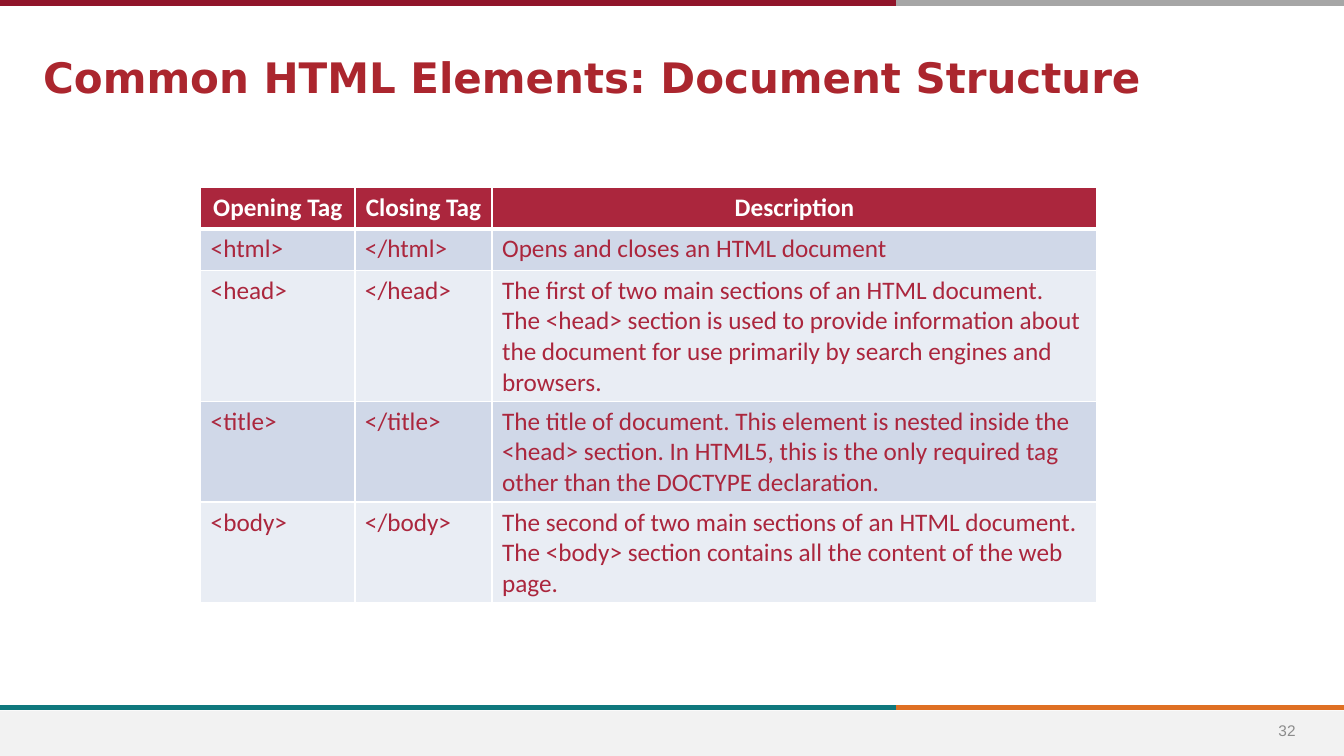
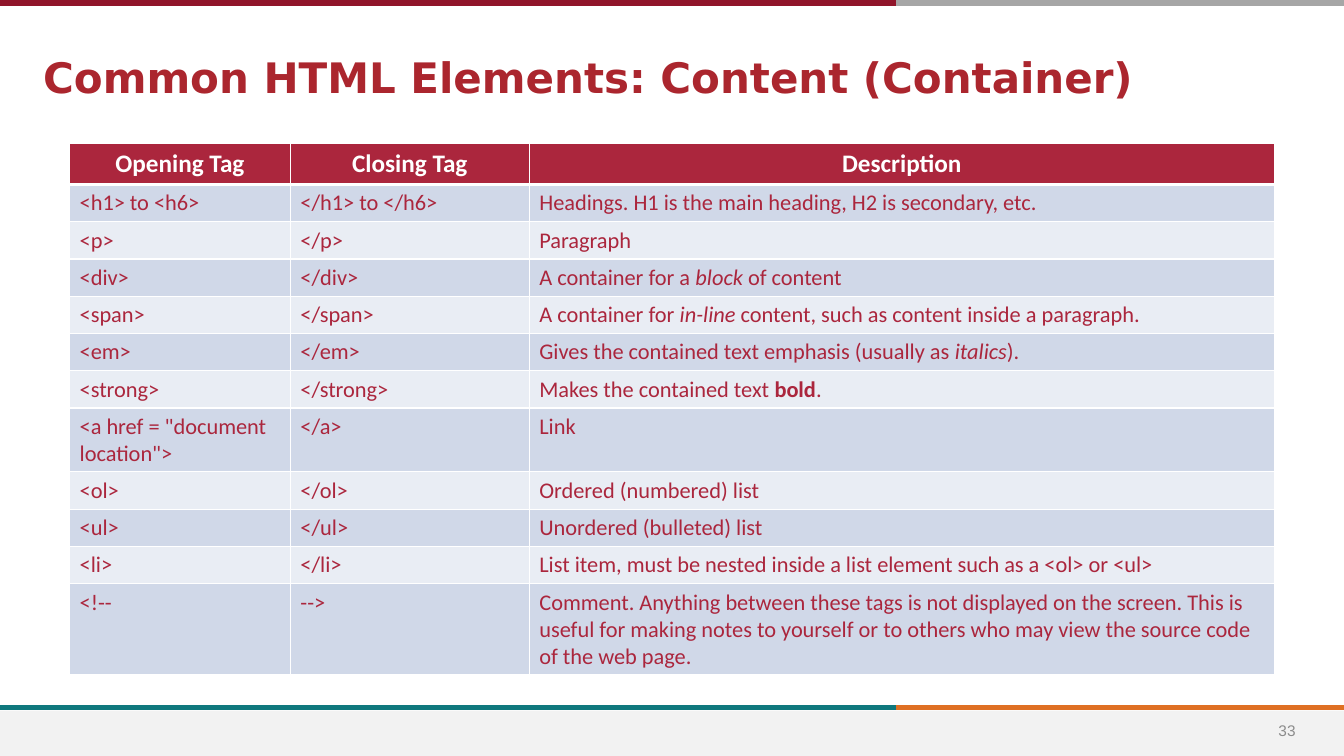
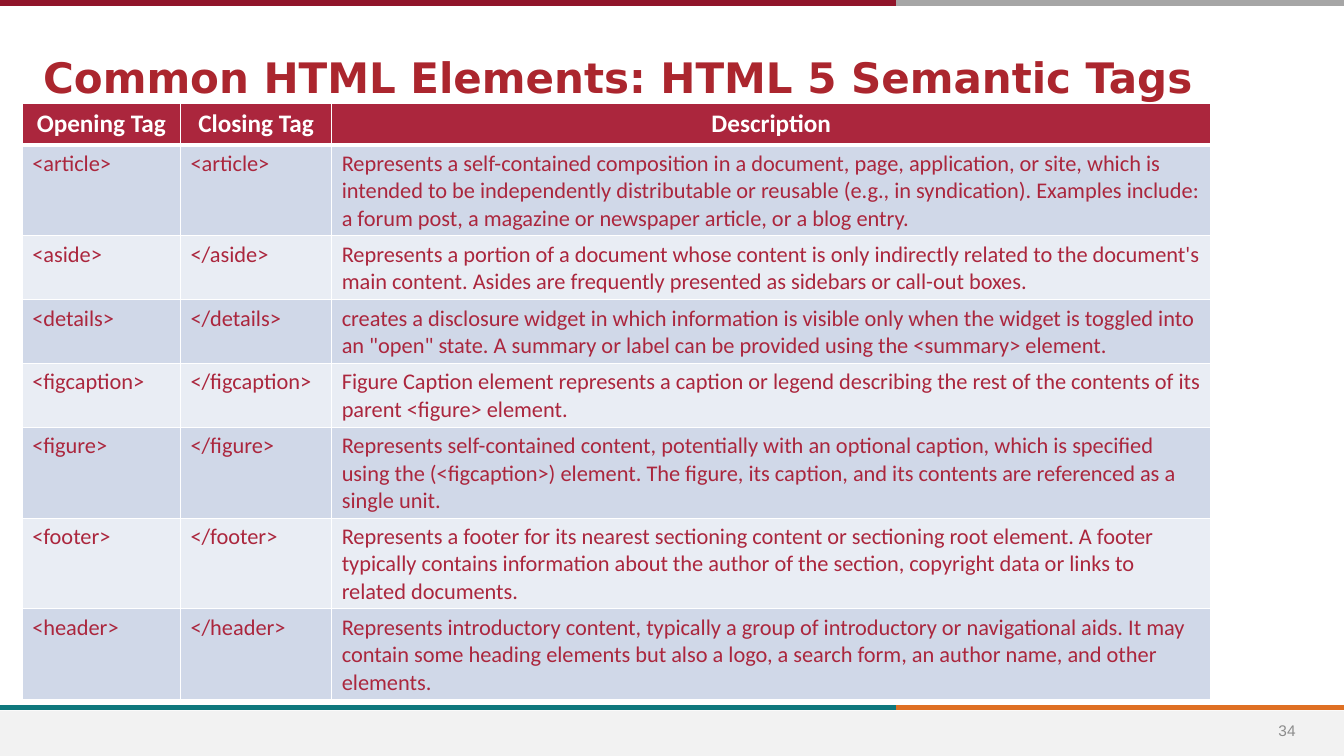
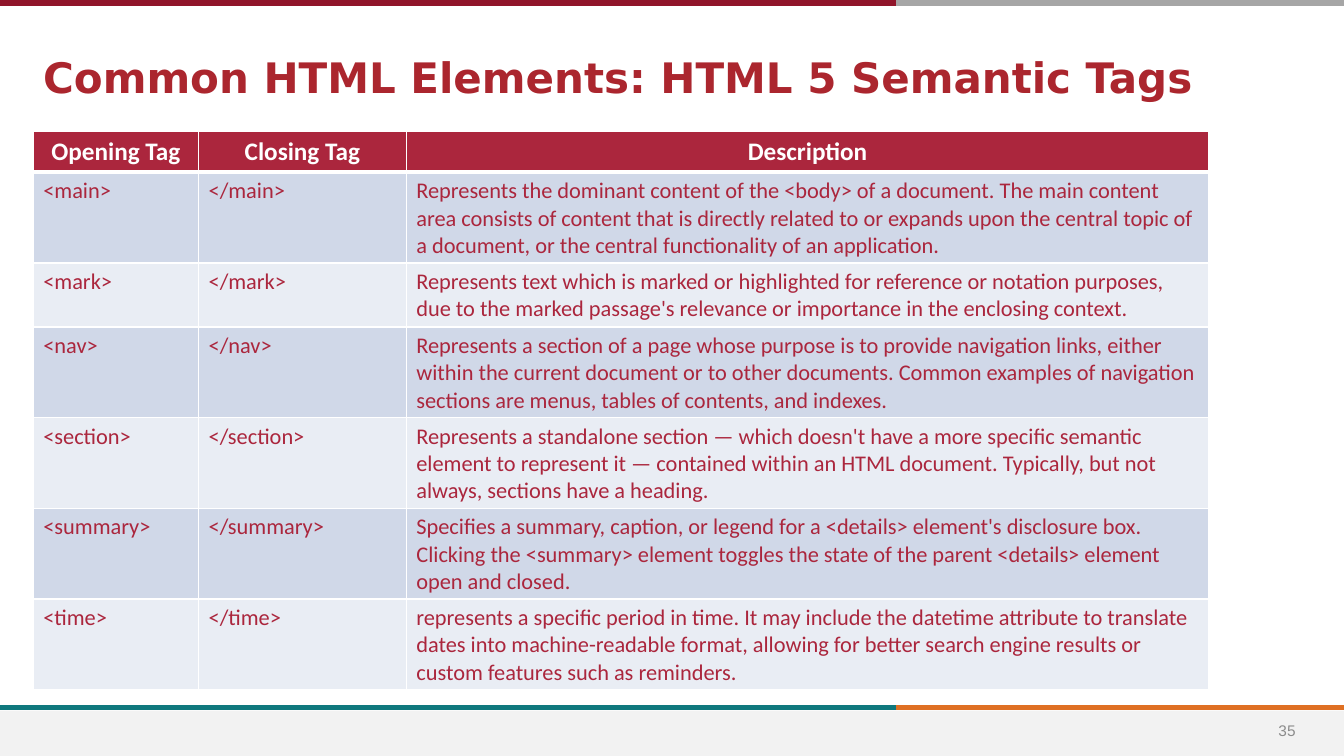
from dataclasses import dataclass

from lxml import etree
from pptx import Presentation
from pptx import util as u
from pptx.dml import color as dml
from pptx.enum import shapes, text
from pptx.oxml import ns


@dataclass(frozen=True)
class Theme:
    # Colours
    title: str = "AB262E"
    head: str = "AB263D"
    odd: str = "D0D8E8"
    even: str = "E9EDF4"
    white: str = "FFFFFF"
    foot: str = "F2F2F2"
    page: str = "8C8C8C"
    crimson: str = "90152A"
    grey: str = "A6A6A6"
    teal: str = "0F787D"
    orange: str = "DF7023"
    # Type
    display: str = "DejaVu Sans"
    body: str = "Calibri"
    small: str = "Arial"
    big: int = 30
    large: int = 18
    mid: int = 16
    tiny: int = 11
    # Line widths in points
    band: int = 4
    rule: int = 3
    hair: int = 1


WIDE, HIGH, SPLIT = 13.33, 7.5, 8.89
HEAD = ("Opening Tag", "Closing Tag", "Description")
ROW = 0.41


def rgb(code):
    return dml.RGBColor.from_string(code)


class Deck:
    def __init__(self, theme):
        self.theme = theme
        self.prs = Presentation()
        self.prs.slide_width = u.Inches(WIDE)
        self.prs.slide_height = u.Inches(HIGH)
        self.slide = None

    def start(self, title, page):
        """Add a slide with its bands, page number and title."""
        t = self.theme
        self.slide = self.prs.slides.add_slide(self.prs.slide_layouts[6])
        self.block(0, 7.05, WIDE, 0.45, t.foot)
        for y, left, right in ((7.02, t.teal, t.orange), (0.03, t.crimson, t.grey)):
            self.line(SPLIT, WIDE, y, right)
            self.line(0, SPLIT, y, left)
        self.label(12.42, 7.05, 0.69, 0.4, str(page), text.MSO_ANCHOR.MIDDLE,
                   text.PP_ALIGN.CENTER, name=t.small, size=t.tiny, color=t.page)
        self.label(0.33, 0.46, 11.66, 0.59, title, text.MSO_ANCHOR.TOP,
                   text.PP_ALIGN.LEFT, name=t.display, size=t.big, color=t.title, bold=True)

    def block(self, x, y, w, h, fill):
        box = self.slide.shapes.add_shape(
            shapes.MSO_SHAPE.RECTANGLE, *map(u.Inches, (x, y, w, h)))
        box.shadow.inherit = False
        box.fill.solid()
        box.fill.fore_color.rgb = rgb(fill)
        box.line.fill.background()

    def line(self, x1, x2, y, color):
        bar = self.slide.shapes.add_connector(
            shapes.MSO_CONNECTOR.STRAIGHT, *map(u.Inches, (x1, y, x2, y)))
        bar.line.color.rgb = rgb(color)
        bar.line.width = u.Pt(self.theme.band)
        etree.SubElement(bar._element.spPr, ns.qn("a:effectLst"))

    def label(self, x, y, w, h, words, anchor, align, **style):
        box = self.slide.shapes.add_textbox(*map(u.Inches, (x, y, w, h)))
        frame = box.text_frame
        frame.word_wrap = True
        frame.vertical_anchor = anchor
        self.put(frame, words, align, style)

    def put(self, frame, words, align, style):
        """Fill the first paragraph; words is a string or (string, style) runs."""
        para = frame.paragraphs[0]
        para.alignment = align
        runs = [(words, {})] if isinstance(words, str) else words
        for part, extra in runs:
            run = para.add_run()
            run.text = part
            for key, value in {**style, **extra}.items():
                if key == "color":
                    run.font.color.rgb = rgb(value)
                else:
                    setattr(run.font, key, u.Pt(value) if key == "size" else value)

    def border(self, cell, row):
        """Draw white cell edges, heavier below the header row."""
        t = self.theme
        props = cell._tc.get_or_add_tcPr()
        heavy = {(0, "B"), (1, "T")}
        for spot, side in enumerate("LRTB"):
            width = t.rule if (row, side) in heavy else t.hair
            edge = etree.Element(ns.qn(f"a:ln{side}"), w=str(u.Pt(width)))
            fill = etree.SubElement(edge, ns.qn("a:solidFill"))
            etree.SubElement(fill, ns.qn("a:srgbClr"), val=t.white)
            props.insert(spot, edge)

    def table(self, x, y, cols, rows, size, step=ROW):
        t = self.theme
        tall = ROW + step * len(rows)
        grid = self.slide.shapes.add_table(
            len(rows) + 1, len(cols), *map(u.Inches, (x, y, sum(cols), tall))).table
        grid.horz_banding = False
        for col, width in zip(grid.columns, cols):
            col.width = u.Inches(width)
        for r, line in enumerate([HEAD, *rows]):
            grid.rows[r].height = u.Inches(step if r else ROW)
            if r == 0:
                fill, align = t.head, text.PP_ALIGN.CENTER
                style = dict(name=t.body, size=t.large, color=t.white, bold=True)
            else:
                fill, align = (t.odd if r % 2 else t.even), text.PP_ALIGN.LEFT
                style = dict(name=t.body, size=size, color=t.head, bold=False)
            for c, words in enumerate(line):
                cell = grid.cell(r, c)
                cell.fill.solid()
                cell.fill.fore_color.rgb = rgb(fill)
                self.border(cell, r)
                self.put(cell.text_frame, words, align, style)


ITALIC, BOLD = {"italic": True}, {"bold": True}

# Table rows: opening tag, closing tag, description
FRAME = [
    ("<html>", "</html>", "Opens and closes an HTML document"),
    ("<head>", "</head>",
     "The first of two main sections of an HTML document. The <head> section is used to "
     "provide information about the document for use primarily by search engines and browsers."),
    ("<title>", "</title>",
     "The title of document. This element is nested inside the <head> section. In HTML5, "
     "this is the only required tag other than the DOCTYPE declaration."),
    ("<body>", "</body>",
     "The second of two main sections of an HTML document. The <body> section contains "
     "all the content of the web page."),
]

CONTENT = [
    ("<h1> to <h6>", "</h1> to </h6>",
     "Headings. H1 is the main heading, H2 is secondary, etc."),
    ("<p>", "</p>", "Paragraph"),
    ("<div>", "</div>",
     [("A container for a ", {}), ("block", ITALIC), (" of content", {})]),
    ("<span>", "</span>",
     [("A container for ", {}), ("in-line", ITALIC),
      (" content, such as content inside a paragraph.", {})]),
    ("<em>", "</em>",
     [("Gives the contained text emphasis (usually as ", {}), ("italics", ITALIC), (").", {})]),
    ("<strong>", "</strong>",
     [("Makes the contained text ", {}), ("bold", BOLD), (".", {})]),
    ('<a href = "document location">', "</a>", "Link"),
    ("<ol>", "</ol>", "Ordered (numbered) list"),
    ("<ul>", "</ul>", "Unordered (bulleted) list"),
    ("<li>", "</li>",
     "List item, must be nested inside a list element such as a <ol> or <ul>"),
    ("<!--", "-->",
     "Comment. Anything between these tags is not displayed on the screen. This is useful "
     "for making notes to yourself or to others who may view the source code of the web page."),
]

LAYOUT = [
    ("<article>", "<article>",
     "Represents a self-contained composition in a document, page, application, or site, "
     "which is intended to be independently distributable or reusable (e.g., in syndication). "
     "Examples include: a forum post, a magazine or newspaper article, or a blog entry."),
    ("<aside>", "</aside>",
     "Represents a portion of a document whose content is only indirectly related to the "
     "document's main content. Asides are frequently presented as sidebars or call-out boxes."),
    ("<details>", "</details>",
     "creates a disclosure widget in which information is visible only when the widget is "
     'toggled into an "open" state. A summary or label can be provided using the <summary> '
     "element."),
    ("<figcaption>", "</figcaption>",
     "Figure Caption element represents a caption or legend describing the rest of the "
     "contents of its parent <figure> element."),
    ("<figure>", "</figure>",
     "Represents self-contained content, potentially with an optional caption, which is "
     "specified using the (<figcaption>) element. The figure, its caption, and its contents "
     "are referenced as a single unit."),
    ("<footer>", "</footer>",
     "Represents a footer for its nearest sectioning content or sectioning root element. "
     "A footer typically contains information about the author of the section, copyright "
     "data or links to related documents."),
    ("<header>", "</header>",
     "Represents introductory content, typically a group of introductory or navigational "
     "aids. It may contain some heading elements but also a logo, a search form, an author "
     "name, and other elements."),
]

MEANING = [
    ("<main>", "</main>",
     "Represents the dominant content of the <body> of a document. The main content area "
     "consists of content that is directly related to or expands upon the central topic of "
     "a document, or the central functionality of an application."),
    ("<mark>", "</mark>",
     "Represents text which is marked or highlighted for reference or notation purposes, "
     "due to the marked passage's relevance or importance in the enclosing context."),
    ("<nav>", "</nav>",
     "Represents a section of a page whose purpose is to provide navigation links, either "
     "within the current document or to other documents. Common examples of navigation "
     "sections are menus, tables of contents, and indexes."),
    ("<section>", "</section>",
     "Represents a standalone section — which doesn't have a more specific semantic element "
     "to represent it — contained within an HTML document. Typically, but not always, "
     "sections have a heading."),
    ("<summary>", "</summary>",
     "Specifies a summary, caption, or legend for a <details> element's disclosure box. "
     "Clicking the <summary> element toggles the state of the parent <details> element "
     "open and closed."),
    ("<time>", "</time>",
     "represents a specific period in time. It may include the datetime attribute to "
     "translate dates into machine-readable format, allowing for better search engine "
     "results or custom features such as reminders."),
]


def main():
    theme = Theme()
    deck = Deck(theme)
    topic = "Common HTML Elements: "

    # Document structure
    deck.start(topic + "Document Structure", 32)
    deck.table(1.99, 1.86, (1.53, 1.36, 6), FRAME, theme.large)

    # Content containers
    deck.start(topic + "Content (Container)", 33)
    deck.table(0.69, 1.42, (2.19, 2.37, 7.39), CONTENT, theme.mid, step=0.37)

    # Semantic tags, on two slides
    deck.start(topic + "HTML 5 Semantic Tags", 34)
    deck.table(0.22, 1.03, (1.57, 1.5, 8.72), LAYOUT, theme.mid)

    deck.start(topic + "HTML 5 Semantic Tags", 35)
    deck.table(0.33, 1.3, (1.64, 2.06, 7.96), MEANING, theme.mid)

    deck.prs.save("out.pptx")


if __name__ == "__main__":
    main()
